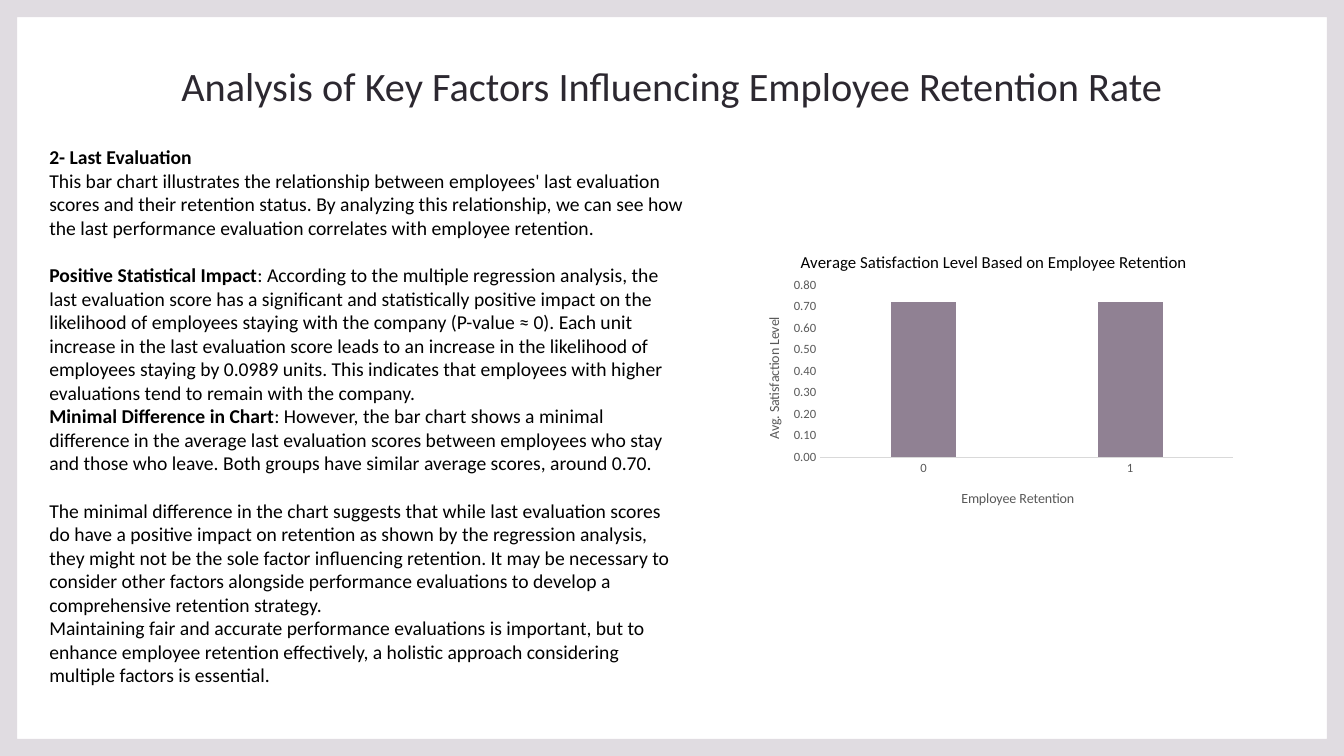
from lxml import etree
from pptx import Presentation
from pptx import util as u
from pptx.chart.data import CategoryChartData
from pptx.dml.color import RGBColor
from pptx.enum import chart as charts, text
from pptx.oxml.ns import qn

BLACK = RGBColor(0x00, 0x00, 0x00)
TITLE_INK = RGBColor(0x2C, 0x28, 0x30)
FRAME_TINT = RGBColor(0xE0, 0xDC, 0xE1)
BAR = RGBColor(0x90, 0x81, 0x93)
GREY = RGBColor(0x59, 0x59, 0x59)
AXIS_LINE = RGBColor(0xD9, 0xD9, 0xD9)
FONT = "Calibri"
BLANK_LINE = u.Pt(17)


def set_font(font, size, color, bold=None):
    font.name, font.size, font.bold = FONT, u.Pt(size), bold
    font.color.rgb = color


def place(element, index, **shares):
    for old in element.findall(qn("c:layout")):
        element.remove(old)
    layout = etree.Element(qn("c:layout"))
    manual = etree.SubElement(layout, qn("c:manualLayout"))
    if "w" in shares:
        etree.SubElement(manual, qn("c:layoutTarget"), val="inner")
    for side in ("xMode", "yMode"):
        etree.SubElement(manual, qn(f"c:{side}"), val="edge")
    for side, share in shares.items():
        etree.SubElement(manual, qn(f"c:{side}"), val=str(share))
    element.insert(index, layout)


deck = Presentation()
deck.slide_width, deck.slide_height = u.Inches(13.33), u.Inches(7.5)
WIDTH, HEIGHT = deck.slide_width, deck.slide_height
page = deck.slides.add_slide(deck.slide_layouts[6])

edge = u.Inches(0.17)
right, bottom = WIDTH - edge, HEIGHT - edge
outline = page.shapes.build_freeform(0, 0)
outline.add_line_segments([(WIDTH, 0), (WIDTH, HEIGHT), (0, HEIGHT)])
outline.move_to(edge, edge)
outline.add_line_segments([(edge, bottom), (right, bottom), (right, edge)])
frame = outline.convert_to_shape()
frame.shadow.inherit = False
frame.fill.solid()
frame.fill.fore_color.rgb = FRAME_TINT
frame.line.fill.background()

heading = page.shapes.add_textbox(
    int(WIDTH * 0.1), int(HEIGHT * 0.08), int(WIDTH * 0.8), int(HEIGHT * 0.067))
heading.text_frame.word_wrap = True
heading.text_frame.vertical_anchor = text.MSO_ANCHOR.MIDDLE
para = heading.text_frame.paragraphs[0]
para.text = "Analysis of Key Factors Influencing Employee Retention Rate"
para.alignment = text.PP_ALIGN.CENTER
set_font(para.font, 28.8, TITLE_INK)

findings = [
    ("2- Last Evaluation", "", False),
    ("", "This bar chart illustrates the relationship between employees' last evaluation scores and their "
     "retention status. By analyzing this relationship, we can see how the last performance evaluation "
     "correlates with employee retention.", False),
    ("Positive Statistical Impact", ": According to the multiple regression analysis, the last evaluation "
     "score has a significant and statistically positive impact on the likelihood of employees staying with "
     "the company (P-value ≈ 0). Each unit increase in the last evaluation score leads to an increase in the "
     "likelihood of employees staying by 0.0989 units. This indicates that employees with higher evaluations "
     "tend to remain with the company.", True),
    ("Minimal Difference in Chart", ": However, the bar chart shows a minimal difference in the average last "
     "evaluation scores between employees who stay and those who leave. Both groups have similar average "
     "scores, around 0.70.", False),
    ("", "The minimal difference in the chart suggests that while last evaluation scores do have a positive "
     "impact on retention as shown by the regression analysis, they might not be the sole factor influencing "
     "retention. It may be necessary to consider other factors alongside performance evaluations to develop "
     "a comprehensive retention strategy.", True),
    ("", "Maintaining fair and accurate performance evaluations is important, but to enhance employee "
     "retention effectively, a holistic approach considering multiple factors is essential.", False),
]
body = page.shapes.add_textbox(
    u.Inches(0.39), u.Inches(1.39), u.Inches(6.51), u.Inches(5.52)).text_frame
body.word_wrap = True
for number, (lead, rest, gap) in enumerate(findings):
    para = body.add_paragraph() if number else body.paragraphs[0]
    set_font(para.font, 14, BLACK)
    if gap:
        para.space_before = BLANK_LINE
    for words, bold in ((lead, True), (rest, False)):
        if words:
            span = para.add_run()
            span.text = words
            span.font.bold = bold

data = CategoryChartData(number_format="0.00")
data.categories = ["0", "1"]
data.add_series("Series 1", (0.72, 0.72))
chart = page.shapes.add_chart(
    charts.XL_CHART_TYPE.COLUMN_CLUSTERED,
    u.Inches(7.36), u.Inches(2.31), u.Inches(5), u.Inches(2.89), data).chart
set_font(chart.font, 10, BLACK)
chart.has_legend = False
chart.has_title = True
plot = chart.plots[0]
plot.vary_by_categories = False
plot.gap_width, plot.overlap = 219, -27
bars = plot.series[0].format.fill
bars.solid()
bars.fore_color.rgb = BAR

across, up = chart.category_axis, chart.value_axis
for axis in (across, up):
    axis.has_title = True
    axis.has_major_gridlines = False
    axis.major_tick_mark = axis.minor_tick_mark = charts.XL_TICK_MARK.NONE
    set_font(axis.tick_labels.font, 9, GREY)
across.format.line.color.rgb = AXIS_LINE
across.format.line.width = u.Pt(0.75)
up.format.line.fill.background()
up.minimum_scale, up.maximum_scale, up.major_unit = 0, 0.8, 0.1
up.tick_labels.number_format = "0.00"
up.tick_labels.number_format_is_linked = False

for title, words, size, color, x, y in (
    (chart.chart_title, "Average Satisfaction Level Based on Employee Retention", 12, BLACK, 0.11, 0.05),
    (across.axis_title, "Employee Retention", 10, GREY, 0.43, 0.87),
    (up.axis_title, "Avg. Satisfaction Level", 10, GREY, 0.04, 0.28),
):
    para = title.text_frame.paragraphs[0]
    para.text = words
    set_font(para.font, size, color, False)
    place(title._element, 1, x=x, y=y)
place(chart._chartSpace.find(".//" + qn("c:plotArea")), 0, x=0.155, y=0.18, w=0.82, h=0.59)

deck.save("out.pptx")
